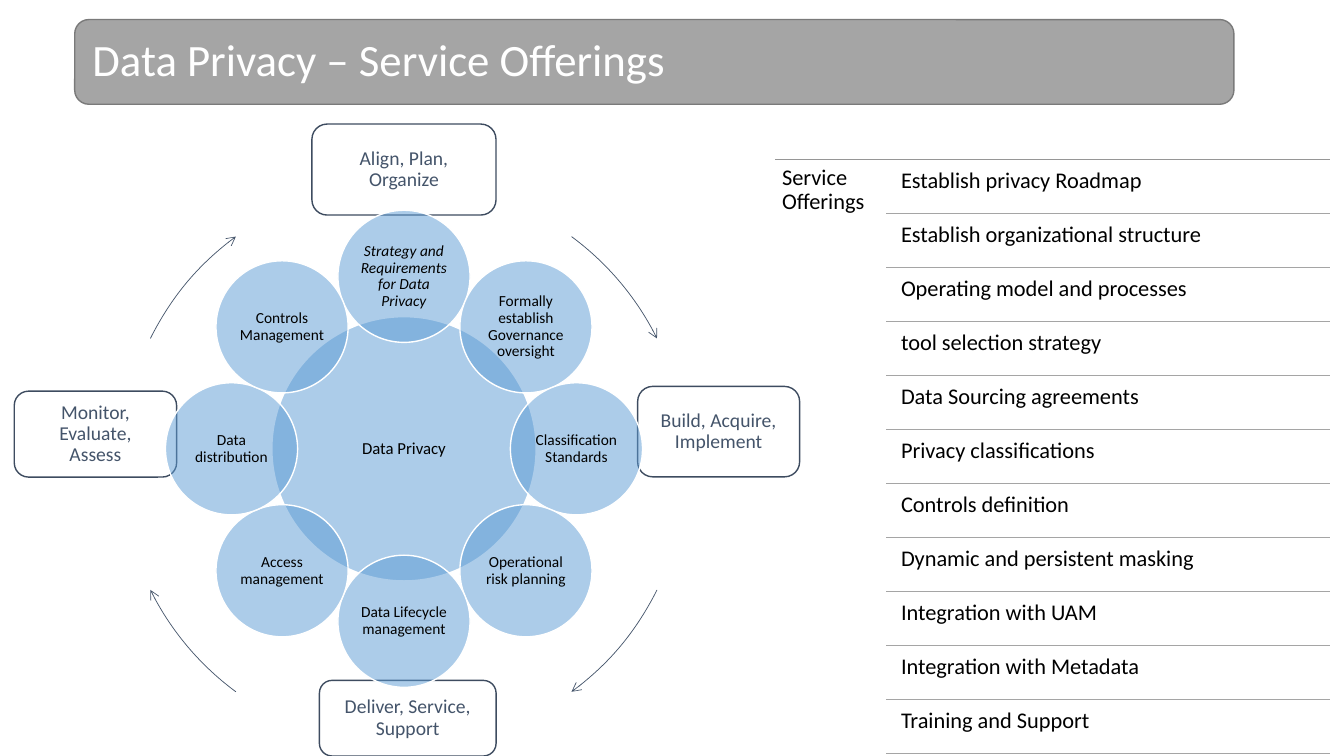
import math

import pptx
import pptx.dml.color
import pptx.enum.shapes
import pptx.enum.text
import pptx.oxml
import pptx.oxml.ns
import pptx.util

Pt = pptx.util.Pt
SHAPE = pptx.enum.shapes.MSO_SHAPE
ALIGN = pptx.enum.text.PP_ALIGN
ANCHOR = pptx.enum.text.MSO_ANCHOR
NS = pptx.oxml.ns.nsdecls("a")


def rgb(value):
    return pptx.dml.color.RGBColor.from_string(value)


def write(sp, text, size, color, inset, align=ALIGN.LEFT, anchor=ANCHOR.MIDDLE):
    tf = sp.text_frame
    tf.text = text
    tf.word_wrap = True
    tf.auto_size = pptx.enum.text.MSO_AUTO_SIZE.NONE
    tf.vertical_anchor = anchor
    tf.margin_left = tf.margin_right = tf.margin_top = tf.margin_bottom = Pt(inset)
    p = tf.paragraphs[0]
    p.alignment = align
    p.line_spacing = 0.9
    p.space_before = Pt(0)
    r = p.runs[0]
    r.font.name = "Calibri"
    r.font.size = Pt(size)
    r.font.color.rgb = rgb(color)
    return r


prs = pptx.Presentation()
prs.slide_width, prs.slide_height = Pt(960), Pt(540)
s = prs.slides.add_slide(prs.slide_layouts[5])

# Phase boxes around the cycle
phases = [
    ("Align, Plan, Organize", 222.8, 88.6, 131.5, 65),
    ("Build, Acquire, Implement", 455.5, 276, 115.7, 64.6),
    ("Deliver, Service, Support", 228.2, 486, 126.2, 54),
    ("Monitor, Evaluate, Assess", 10.2, 279.4, 116, 61.4),
]
for text, left, top, width, height in phases:
    sp = s.shapes.add_shape(SHAPE.ROUNDED_RECTANGLE, Pt(left), Pt(top), Pt(width), Pt(height))
    sp.shadow.inherit = False
    sp.fill.solid()
    sp.fill.fore_color.rgb = rgb("FFFFFF")
    sp.line.color.rgb = rgb("3E4C60")
    sp.line.width = Pt(1)
    write(sp, text, 14, "44546A", 11, ALIGN.CENTER)

# Clockwise arrows between the phases, all on one circle
arc_x, arc_y, arc_radius, half_sweep = 288.4, 331.6, 202, 13.6
for middle in (320, 40, 140, 220):
    sp = s.shapes.add_shape(SHAPE.ARC, Pt(arc_x - arc_radius), Pt(arc_y - arc_radius),
                            Pt(2 * arc_radius), Pt(2 * arc_radius))
    # Angles are stored in 60000ths of a degree, adjustments in 100000ths
    sp.adjustments[0] = (middle - half_sweep) * 0.6
    sp.adjustments[1] = (middle + half_sweep) * 0.6
    sp.shadow.inherit = False
    sp.fill.background()
    sp.line.color.rgb = rgb("44546A")
    sp.line.width = Pt(0.5)
    sp.line._get_or_add_ln().append(pptx.oxml.parse_xml(f'<a:tailEnd {NS} type="arrow"/>'))

# Service offerings list
offerings = [
    "Establish privacy Roadmap", "Establish organizational structure",
    "Operating model and processes", "tool selection strategy",
    "Data Sourcing agreements", "Privacy classifications", "Controls definition",
    "Dynamic and persistent masking", "Integration with UAM",
    "Integration with Metadata", "Training and Support",
]
list_left, list_top, list_right, item_left, pitch = 553.7, 113.8, 949.7, 633, 38.57
sp = s.shapes.add_textbox(Pt(list_left), Pt(list_top), Pt(79.2), Pt(426))
write(sp, "Service Offerings", 16, "000000", 5, anchor=ANCHOR.TOP)
for i, text in enumerate(offerings):
    sp = s.shapes.add_textbox(Pt(638.6), Pt(list_top + i * pitch + 2), Pt(311), Pt(36.7))
    write(sp, text, 16, "000000", 5, anchor=ANCHOR.TOP)
for i in range(len(offerings) + 1):
    y = Pt(list_top + i * pitch)
    rule = s.shapes.add_connector(pptx.enum.shapes.MSO_CONNECTOR.STRAIGHT,
                                  Pt(item_left if i else list_left), y, Pt(list_right), y)
    rule.line.color.rgb = rgb("A5A5A5" if i else "969696")
    rule.line.width = Pt(1)
    rule._element.spPr.append(pptx.oxml.parse_xml(f"<a:effectLst {NS}/>"))

# Hub and its ring of petals, clockwise from the top
hub_x, hub_y, ring_radius, petal_size = 288.6, 320.6, 123.2, 94.4
petals = [
    "Strategy and Requirements for Data Privacy", "Formally establish Governance oversight",
    "Classification Standards", "Operational risk planning", "Data Lifecycle management",
    "Access management", "Data distribution", "Controls Management",
]
circles = [("Data Privacy", hub_x, hub_y, 2 * petal_size, 12)]
for i, text in enumerate(petals):
    angle = 2 * math.pi * i / len(petals)
    circles.append((text, hub_x + ring_radius * math.sin(angle),
                    hub_y - ring_radius * math.cos(angle), petal_size, 11))
for text, x, y, size, font_size in circles:
    sp = s.shapes.add_shape(SHAPE.OVAL, Pt(x - size / 2), Pt(y - size / 2), Pt(size), Pt(size))
    sp.shadow.inherit = False
    sp.fill.solid()
    sp.fill.fore_color.rgb = rgb("5B9BD5")
    sp._element.spPr.find(".//" + pptx.oxml.ns.qn("a:srgbClr")).append(
        pptx.oxml.parse_xml(f'<a:alpha {NS} val="50000"/>'))
    sp.line.color.rgb = rgb("FFFFFF")
    sp.line.width = Pt(1)
    r = write(sp, text, font_size, "000000", 1.2, ALIGN.CENTER)
    r.font.italic = text == petals[0]

# Title on its banner
banner = s.shapes.add_shape(SHAPE.ROUNDED_RECTANGLE, Pt(53.4), Pt(14), Pt(828), Pt(60.5))
banner.shadow.inherit = False
banner.fill.solid()
banner.fill.fore_color.rgb = rgb("A5A5A5")
banner.line.color.rgb = rgb("7A7A7A")
banner.line.width = Pt(1)
title = s.shapes.title
title.left, title.top, title.width, title.height = Pt(56.4), Pt(17), Pt(822), Pt(54.6)
write(title, "Data Privacy – Service Offerings", 32, "FFFFFF", 9.6)
banner._element.addnext(title._element)

prs.save("out.pptx")
